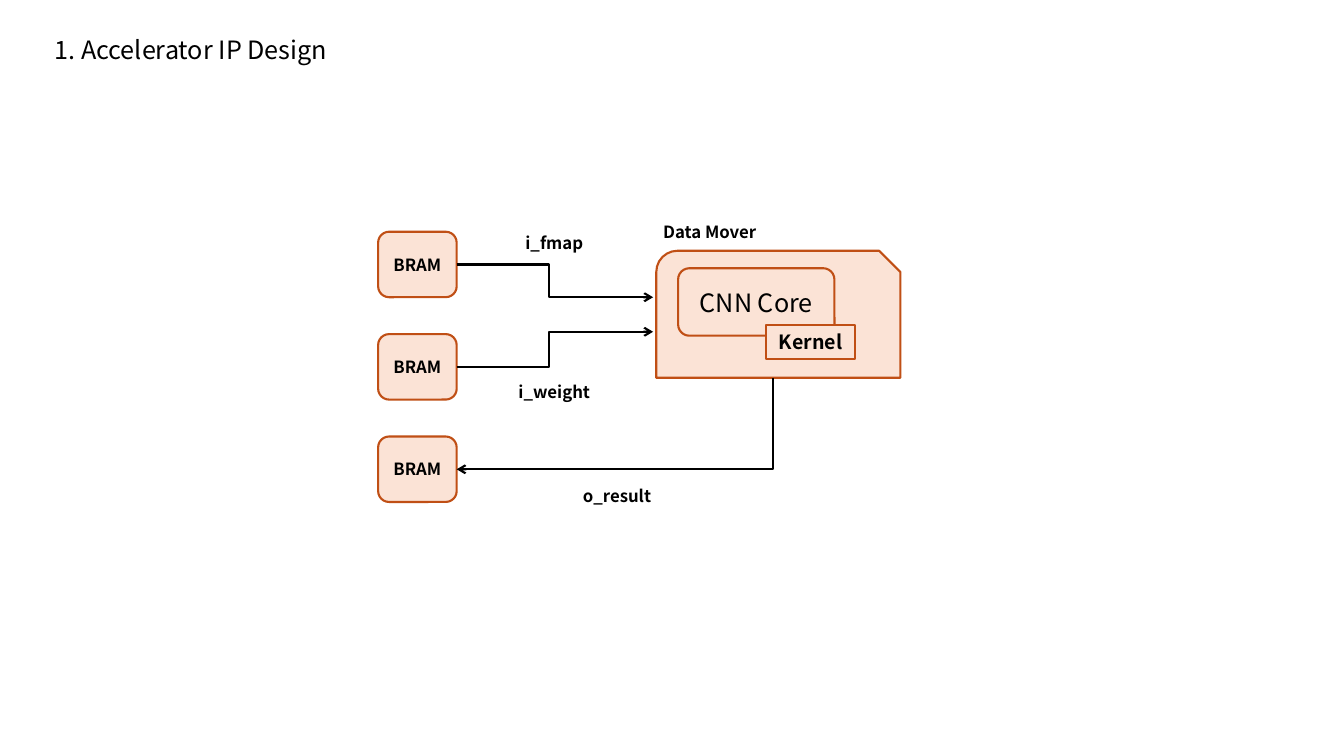
from lxml import etree
from pptx import Presentation
from pptx.dml.color import RGBColor
from pptx.enum.shapes import MSO_SHAPE
from pptx.enum.text import MSO_ANCHOR, PP_ALIGN
from pptx.oxml.ns import qn
from pptx.util import Cm, Pt

FONT = "Noto Sans CJK KR"
COLORS = {"text": "000000", "fill": "FBE3D6", "border": "C04F15", "wire": "000000"}


def color(name):
    return RGBColor.from_string(COLORS[name])


def set_text(sp, text, size, bold=True, align=PP_ALIGN.CENTER, wrap=True):
    tf = sp.text_frame
    tf.word_wrap = wrap
    tf.vertical_anchor = MSO_ANCHOR.MIDDLE
    p = tf.paragraphs[0]
    p.text = text
    p.alignment = align
    p.font.name = FONT
    p.font.size = Pt(size)
    p.font.bold = bold
    p.font.color.rgb = color("text")


def add_label(s, text, x, y, w=3.1, h=0.76, align=PP_ALIGN.CENTER):
    set_text(s.shapes.add_textbox(Cm(x), Cm(y), Cm(w), Cm(h)), text, 12, align=align)


def add_block(s, kind, x, y, w, h, text="", size=12, bold=True):
    sp = s.shapes.add_shape(kind, Cm(x), Cm(y), Cm(w), Cm(h))
    sp.shadow.inherit = False
    sp.fill.solid()
    sp.fill.fore_color.rgb = color("fill")
    sp.line.color.rgb = color("border")
    sp.line.width = Pt(1.5)
    if text:
        set_text(sp, text, size, bold, wrap=False)


def add_wire(s, points):
    """Draw an angled line through the points, with an arrowhead at the last."""
    start, *rest = [(Cm(x), Cm(y)) for x, y in points]
    builder = s.shapes.build_freeform(*start)
    builder.add_line_segments(rest, close=False)
    sp = builder.convert_to_shape()
    sp.shadow.inherit = False
    sp.fill.background()
    sp.line.color.rgb = color("wire")
    sp.line.width = Pt(1.5)
    etree.SubElement(sp.line._get_or_add_ln(), qn("a:tailEnd"), type="arrow")


def add_title(s, text, x, y, w, h):
    title = s.shapes.title
    title.left, title.top, title.width, title.height = Cm(x), Cm(y), Cm(w), Cm(h)
    set_text(title, text, 18, bold=False, align=PP_ALIGN.LEFT)


def add_data_mover(s, x, y, w, h):
    add_block(s, MSO_SHAPE.SNIP_ROUND_RECTANGLE, x, y, w, h)
    add_block(s, MSO_SHAPE.ROUNDED_RECTANGLE, x + 0.55, y + 0.44, 3.94, 1.7,
              "CNN Core", 18, bold=False)
    add_block(s, MSO_SHAPE.RECTANGLE, x + 2.76, y + 1.86, 2.26, 0.86, "Kernel", 14)
    add_label(s, "Data Mover", x - 0.08, y - 0.9, h=0.86, align=PP_ALIGN.LEFT)


def add_accelerator(s, x, y, w, h):
    bram_w, bram_h = 1.98, 1.65
    pitch = (h - bram_h) / 2
    centers = [y + bram_h / 2 + i * pitch for i in range(3)]
    for center in centers:
        add_block(s, MSO_SHAPE.ROUNDED_RECTANGLE, x, center - bram_h / 2,
                  bram_w, bram_h, "BRAM")

    mover_w, mover_h = 6.15, 3.2
    mover_x, mover_y = x + w - mover_w, y + 0.48
    add_data_mover(s, mover_x, mover_y, mover_w, mover_h)

    bram_right, bend_x, input_x = x + bram_w, x + 4.31, mover_x - 0.08
    for center, input_y in zip(centers, (mover_y + 1.17, mover_y + 2.04)):
        add_wire(s, [(bram_right, center), (bend_x, center),
                     (bend_x, input_y), (input_x, input_y)])
    output_x = mover_x + 2.94
    add_wire(s, [(output_x, mover_y + mover_h), (output_x, centers[2]),
                 (bram_right, centers[2])])

    add_label(s, "i_fmap", x + 2.89, y - 0.1)
    add_label(s, "i_weight", x + 2.89, y + 3.66)
    add_label(s, "o_result", x + 4.47, y + 6.28)


def main():
    prs = Presentation()
    prs.slide_width, prs.slide_height = Cm(33.87), Cm(19.05)
    s = prs.slides.add_slide(prs.slide_layouts[5])
    add_title(s, "1. Accelerator IP Design", 1.12, 0.74, 8.18, 1.02)
    add_accelerator(s, 9.53, 5.84, 13.16, 6.81)
    prs.save("out.pptx")


if __name__ == "__main__":
    main()
